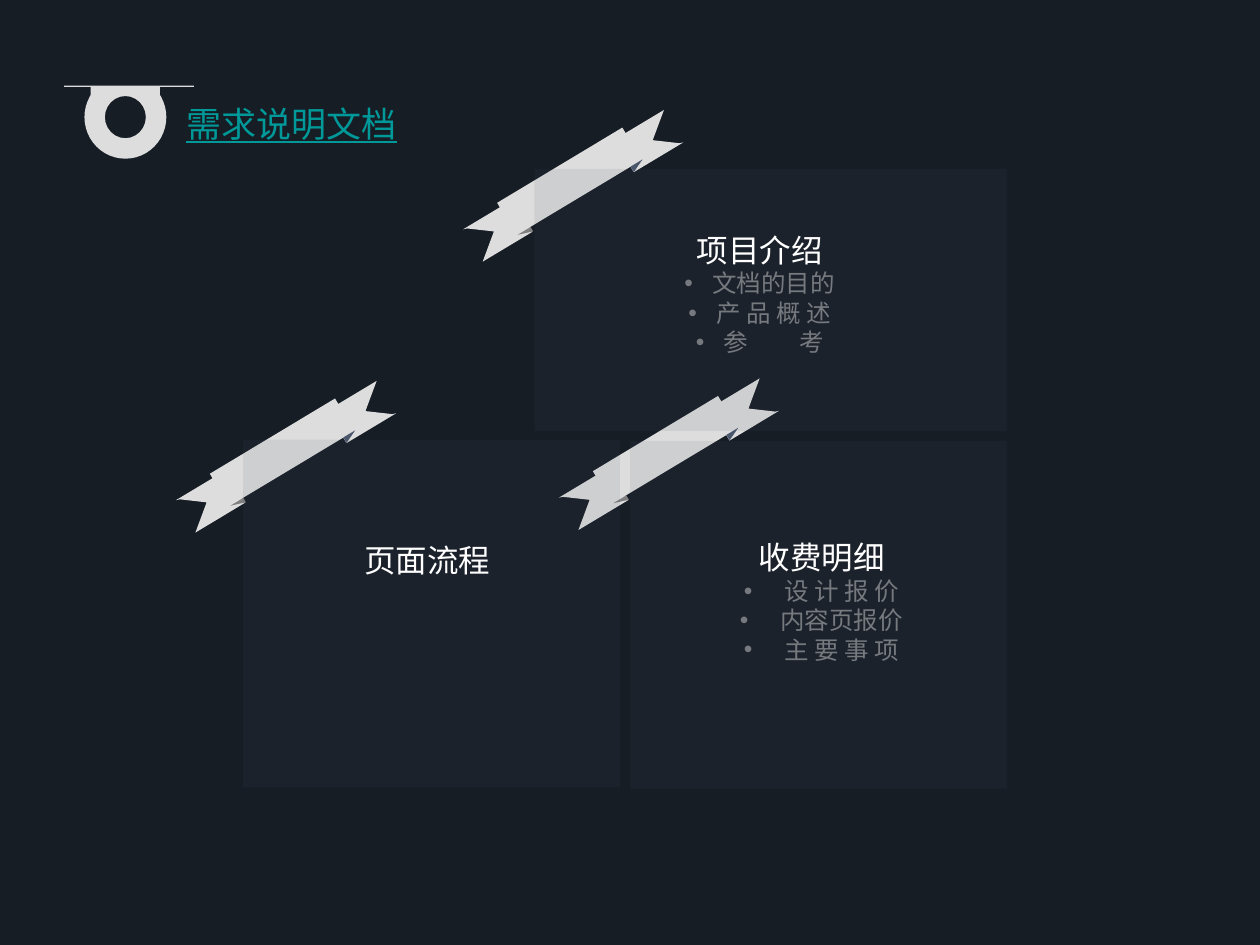
from dataclasses import dataclass

from lxml.etree import SubElement
from pptx import Presentation
from pptx.dml.color import RGBColor
from pptx.enum.shapes import MSO_CONNECTOR, MSO_SHAPE
from pptx.enum.text import MSO_ANCHOR, MSO_AUTO_SIZE, PP_ALIGN
from pptx.oxml.ns import qn
from pptx.util import Inches, Pt


@dataclass(frozen=True)
class Theme:
    font: str = "Times New Roman"
    background: str = "171D25"
    ribbon: str = "DDDDDD"
    panel: str = "4A566C"
    shade: str = "808080"
    title: str = "009999"
    heading: str = "FFFFFF"
    detail: str = "76797E"
    title_size: int = 20
    heading_size: int = 18
    detail_size: int = 14


@dataclass(frozen=True)
class Box:
    left: float
    top: float
    width: float
    height: float

    def inches(self) -> tuple:
        return tuple(Inches(v) for v in (self.left, self.top, self.width, self.height))


@dataclass(frozen=True)
class Bullet:
    text: str
    spacing: int = 0


@dataclass(frozen=True)
class Card:
    panel: Box
    text: Box
    heading: str
    bullets: tuple = ()
    hanging: float = 0


@dataclass(frozen=True)
class RibbonPiece:
    """A polygon placed relative to the band of its ribbon."""
    left: float
    top: float
    outline: tuple
    rotation: int
    color: str


THEME = Theme()
TILT = 329
BAND = (1.16, 0.3)
TAIL = ((0, 0), (0.46, 0), (0.26, 0.16), (0.43, 0.29), (0.46, 0.3), (0, 0.3))
TAILS = (
    RibbonPiece(-0.22, 0.39, TAIL, TILT - 180, THEME.ribbon),
    RibbonPiece(0.98, -0.32, TAIL, TILT, THEME.ribbon),
)
FOLDS = (
    RibbonPiece(1.07, 0, ((0.11, 0), (0, 0.05), (0, 0)), TILT, THEME.panel),
    RibbonPiece(0.17, 0.54, ((0, 0), (0.12, 0.04), (0.12, 0)), TILT, THEME.shade),
)
RIBBONS = ((3.94, 1.29), (1.66, 3.44), (4.7, 3.42))
CARDS = (
    Card(Box(4.24, 1.34, 3.75, 2.08), Box(4.96, 1.78, 2.14, 1.11), "项目介绍",
         (Bullet("文档的目的"), Bullet("产 品 概 述"), Bullet("参 考", 13)), 0.22),
    Card(Box(1.93, 3.49, 2.99, 2.76), Box(2.32, 4.24, 2.14, 0.4), "页面流程"),
    Card(Box(5, 3.5, 2.99, 2.76), Box(5.45, 4.22, 2.14, 1.11), "收费明细",
         (Bullet("设 计 报 价"), Bullet("内容页报价"), Bullet("主 要 事 项")), 0.32),
)


def paint(shape, color: str, alpha: int = 100) -> None:
    shape.shadow.inherit = False
    shape.line.fill.background()
    shape.fill.solid()
    shape.fill.fore_color.rgb = RGBColor.from_string(color)
    if alpha < 100:
        color_node = shape.fill._xPr.find(".//" + qn("a:srgbClr"))
        SubElement(color_node, qn("a:alpha")).set("val", str(alpha * 1000))


def add_preset(page, kind: MSO_SHAPE, box: Box, color: str, alpha: int = 100):
    shape = page.shapes.add_shape(kind, *box.inches())
    paint(shape, color, alpha)
    return shape


def add_pieces(page, left: float, top: float, pieces: tuple) -> None:
    for piece in pieces:
        points = [(Inches(left + piece.left + x), Inches(top + piece.top + y))
                  for x, y in piece.outline]
        builder = page.shapes.build_freeform(*points[0], scale=1.0)
        builder.add_line_segments(points[1:], close=True)
        shape = builder.convert_to_shape()
        shape.rotation = piece.rotation
        paint(shape, piece.color)


def add_ribbon(page, left: float, top: float) -> None:
    add_pieces(page, left, top, TAILS)
    band = add_preset(page, MSO_SHAPE.RECTANGLE, Box(left, top, *BAND), THEME.ribbon)
    band.rotation = TILT
    add_pieces(page, left, top, FOLDS)


def place_text(page, holder, box: Box):
    """Move a placeholder to its box, in front of what is already drawn."""
    page.shapes._spTree.append(holder._element)
    holder.left, holder.top, holder.width, holder.height = box.inches()
    frame = holder.text_frame
    frame.word_wrap = True
    frame.vertical_anchor = MSO_ANCHOR.TOP
    frame.auto_size = MSO_AUTO_SIZE.SHAPE_TO_FIT_TEXT
    return frame


def format_paragraph(para, align: PP_ALIGN, size: int, color: str, hanging: float = 0) -> None:
    para.alignment = align
    para.space_before = para.space_after = Pt(0)
    para.line_spacing = 1.0
    properties = para._p.get_or_add_pPr()
    properties.set("marL", str(Inches(hanging)))
    properties.set("indent", str(-Inches(hanging)))
    if hanging:
        SubElement(properties, qn("a:buFont")).set("typeface", "Arial")
        SubElement(properties, qn("a:buChar")).set("char", "•")
    else:
        SubElement(properties, qn("a:buNone"))
    para.font.name = THEME.font
    para.font.size = Pt(size)
    para.font.bold = False
    para.font.color.rgb = RGBColor.from_string(color)


def add_card(page, card: Card, holder) -> None:
    add_preset(page, MSO_SHAPE.RECTANGLE, card.panel, THEME.panel, alpha=10)
    frame = place_text(page, holder, card.text)
    heading = frame.paragraphs[0]
    heading.text = card.heading
    format_paragraph(heading, PP_ALIGN.CENTER, THEME.heading_size, THEME.heading)
    for bullet in card.bullets:
        para = frame.add_paragraph()
        span = para.add_run()
        span.text = bullet.text
        if bullet.spacing:
            span._r.get_or_add_rPr().set("spc", str(bullet.spacing * 100))
        format_paragraph(para, PP_ALIGN.CENTER, THEME.detail_size, THEME.detail, card.hanging)


def add_title(page, text: str) -> None:
    frame = place_text(page, page.shapes.title, Box(1.38, 0.76, 1.97, 0.71))
    para = frame.paragraphs[0]
    para.text = text
    format_paragraph(para, PP_ALIGN.LEFT, THEME.title_size, THEME.title)
    para.font.underline = True


def add_ring_badge(page) -> None:
    rule = page.shapes.add_connector(
        MSO_CONNECTOR.STRAIGHT, Inches(0.51), Inches(0.68), Inches(1.54), Inches(0.68))
    rule.line.color.rgb = RGBColor.from_string(THEME.ribbon)
    rule.line.width = Pt(1.5)
    SubElement(rule._element.spPr, qn("a:effectLst"))
    add_preset(page, MSO_SHAPE.RECTANGLE, Box(0.72, 0.05, 0.55, 0.71), THEME.ribbon)
    add_preset(page, MSO_SHAPE.DONUT, Box(0.67, 0.6, 0.65, 0.66), THEME.ribbon)
    # Background strip trims the badge along the rule
    add_preset(page, MSO_SHAPE.RECTANGLE, Box(0.36, 0, 1.42, 0.68), THEME.background)


# Deck and page
deck = Presentation()
deck.slide_width, deck.slide_height = Inches(10), Inches(7.5)
page = deck.slides.add_slide(deck.slide_layouts.get_by_name("Comparison"))
page.background.fill.solid()
page.background.fill.fore_color.rgb = RGBColor.from_string(THEME.background)
holders = [holder for holder in page.placeholders if holder.placeholder_format.idx > 0]

# Ribbons behind the cards
for ribbon_left, ribbon_top in RIBBONS:
    add_ribbon(page, ribbon_left, ribbon_top)

# Cards with their lists
for card, holder in zip(CARDS, holders):
    add_card(page, card, holder)
for unused in holders[len(CARDS):]:
    page.shapes._spTree.remove(unused._element)

# Title and badge
add_title(page, "需求说明文档")
add_ring_badge(page)

deck.save("out.pptx")
